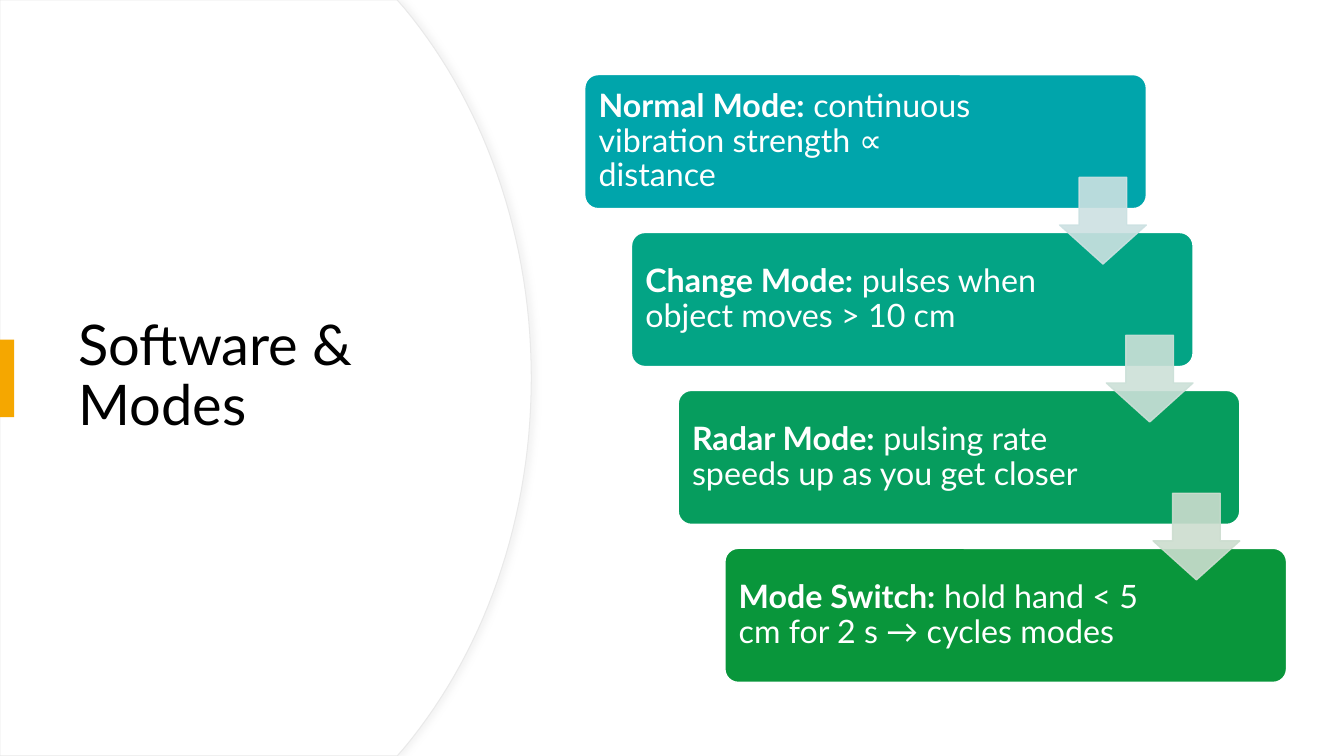
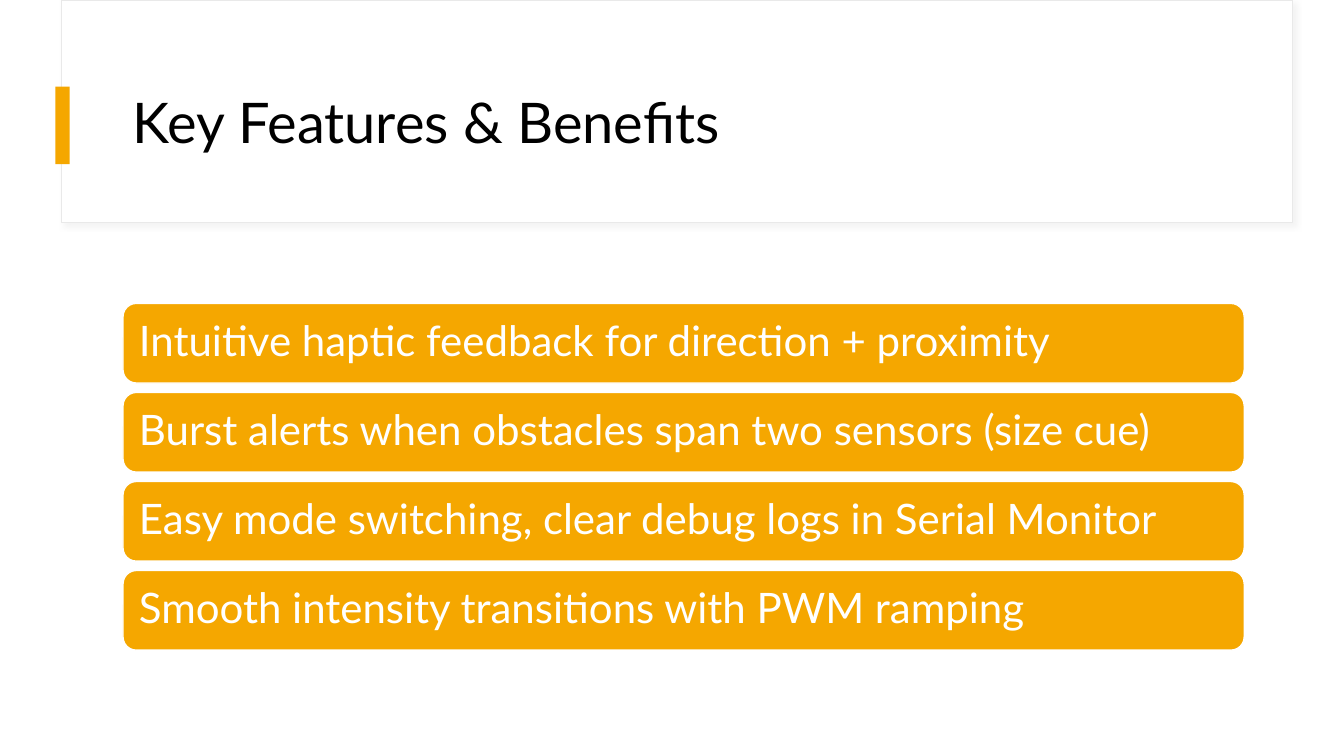
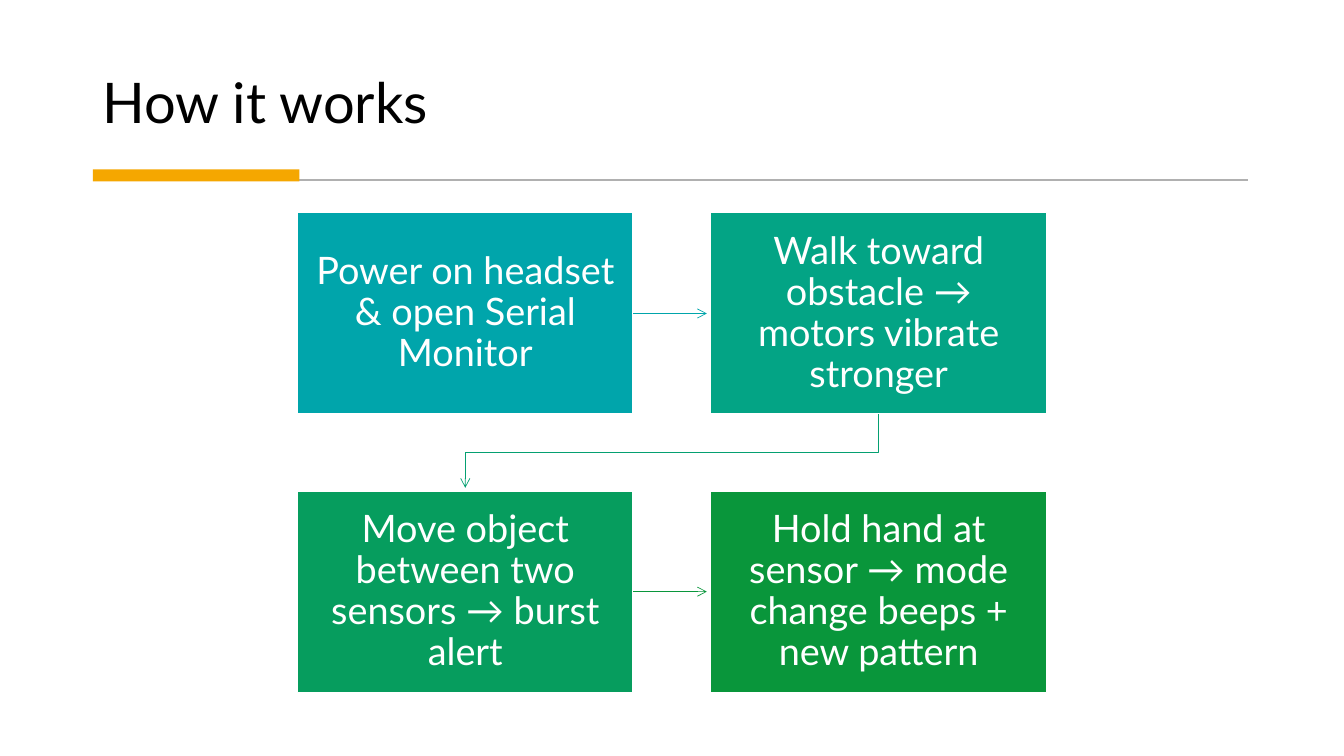
from collections import namedtuple
from dataclasses import dataclass

from lxml.etree import SubElement
from pptx import Presentation
from pptx.dml.color import RGBColor
from pptx.enum.shapes import MSO_CONNECTOR, MSO_SHAPE
from pptx.enum.text import MSO_ANCHOR, PP_ALIGN
from pptx.oxml.ns import qn
from pptx.util import Emu, Pt

PX = 9144  # EMU in one px: 100 px to the inch
PAGE_WIDTH, PAGE_HEIGHT = 1333, 750

Box = namedtuple("Box", "left top width height")
Span = namedtuple("Span", "text bold", defaults=(False,))


@dataclass(frozen=True)
class Theme:
    font: str = "Lato"
    black: str = "000000"
    white: str = "FFFFFF"
    accent: str = "F5A700"
    frame: str = "E9E9E9"
    shadow: str = "D9D9D9"
    rule: str = "B0B0B0"
    steps: tuple = ("00A5AB", "03A485", "069D5E", "09963B")
    tints: tuple = ("CCE1E2", "CCE0D8", "CCDDCF")
    turn: str = "05A071"
    title_size: int = 40
    mode_size: int = 23
    feature_size: int = 30
    step_size: int = 27
    line_spacing: float = 0.9


THEME = Theme()


def px(length):
    return Emu(round(length * PX))


def color(code):
    return RGBColor.from_string(code)


# Shared parts

def paint(shape, fill=None, line=None, width=1):
    shape.shadow.inherit = False
    if fill:
        shape.fill.solid()
        shape.fill.fore_color.rgb = color(fill)
    else:
        shape.fill.background()
    if line:
        shape.line.color.rgb = color(line)
        shape.line.width = Pt(width)
    else:
        shape.line.fill.background()
    return shape


def add_block(page, box, fill, line=None, width=1, kind=MSO_SHAPE.RECTANGLE):
    shape = page.shapes.add_shape(kind, *map(px, box))
    return paint(shape, fill, line, width)


def add_outline(page, points, closed):
    (left, top), *rest = [(px(x), px(y)) for x, y in points]
    builder = page.shapes.build_freeform(left, top, scale=1.0)
    builder.add_line_segments(rest, close=closed)
    return builder.convert_to_shape()


def fade(shape, percent):
    for node in shape.element.spPr.iter(qn("a:srgbClr")):
        SubElement(node, qn("a:alpha"), val=str(percent * 1000))


def cast_shadow(shape, degrees):
    effects = shape.element.spPr.find(qn("a:effectLst"))
    outer = SubElement(effects, qn("a:outerShdw"), blurRad=str(Pt(4)),
                       dist=str(Pt(3)), dir=str(degrees * 60000))
    tone = SubElement(outer, qn("a:srgbClr"), val=THEME.shadow)
    SubElement(tone, qn("a:alpha"), val="30000")


def add_line(page, start, end, tone, width):
    line = page.shapes.add_connector(MSO_CONNECTOR.STRAIGHT, *map(px, start + end))
    line.line.color.rgb = color(tone)
    line.line.width = Pt(width)
    SubElement(line.element.spPr, qn("a:effectLst"))
    return line


def add_arrowhead(line):
    SubElement(line.line._get_or_add_ln(), qn("a:tailEnd"), type="arrow")


def write(shape, spans, size, tone=THEME.white, align=PP_ALIGN.LEFT,
          anchor=MSO_ANCHOR.MIDDLE, margins=(10, 5, 10, 5)):
    frame = shape.text_frame
    frame.word_wrap = True
    frame.vertical_anchor = anchor
    (frame.margin_left, frame.margin_top,
     frame.margin_right, frame.margin_bottom) = map(px, margins)
    para = frame.paragraphs[0]
    para.alignment = align
    para.line_spacing = THEME.line_spacing
    for span in spans:
        run = para.add_run()
        run.text = span.text
        run.font.name = THEME.font
        run.font.size = Pt(size)
        run.font.bold = span.bold
        run.font.color.rgb = color(tone)


def add_title(page, box, text, anchor=MSO_ANCHOR.MIDDLE):
    title = page.shapes.add_textbox(*map(px, box))
    write(title, [Span(text)], THEME.title_size, THEME.black, anchor=anchor)


def add_accent(page, box):
    add_block(page, box, THEME.accent)


def spread(length, size, count):
    """Offsets of equal parts that fill a length from end to end."""
    return [(length - size) * index / (count - 1) for index in range(count)]


# Regions

def add_curved_panel(page, box):
    """White panel whose right edge bulges outwards."""
    left, top, width, height = box
    middle = height / 2
    controls = ((width - 126, 8), (width - 48, 102), (width, 232), (width, middle))
    upper = []
    for step in range(31):
        t = step / 30
        weights = ((1 - t) ** 3, 3 * t * (1 - t) ** 2, 3 * t * t * (1 - t), t ** 3)
        upper.append(tuple(sum(w * point[axis] for w, point in zip(weights, controls))
                           for axis in (0, 1)))
    half = [(0, 0), (width - 133, 0), *upper]
    lower = [(x, height - y) for x, y in reversed(half[:-1])]
    panel = add_outline(page, [(left + x, top + y) for x, y in half + lower], True)
    paint(panel, THEME.white, THEME.frame, 0.75)
    cast_shadow(panel, 0)


def add_mode_stairs(page, box, modes):
    """Cards stepping down to the right, linked by block arrows."""
    width, height, arrow_size = 557, 133, 86
    count = len(modes)
    corners = [(box.left + x, box.top + y) for x, y in
               zip(spread(box.width, width, count), spread(box.height, height, count))]
    for (left, top), (name, detail), fill in zip(corners, modes, THEME.steps):
        card = add_block(page, Box(left, top, width, height), fill, THEME.white,
                         kind=MSO_SHAPE.ROUNDED_RECTANGLE)
        card.adjustments[0] = 0.1
        write(card, [Span(name, True), Span(detail)], THEME.mode_size,
              margins=(10, 10, 142, 10))
    for (left, top), tint in zip(corners, THEME.tints):
        place = Box(left + width - arrow_size, top + 102, arrow_size, arrow_size)
        arrow = add_block(page, place, tint, tint, kind=MSO_SHAPE.DOWN_ARROW)
        arrow.adjustments[0], arrow.adjustments[1] = 0.55, 0.45
        fade(arrow, 90)


def add_feature_list(page, box, features):
    height = 79
    for offset, feature in zip(spread(box.height, height, len(features)), features):
        bar = add_block(page, Box(box.left, box.top + offset, box.width, height),
                        THEME.accent, THEME.white, kind=MSO_SHAPE.ROUNDED_RECTANGLE)
        write(bar, [Span(feature)], THEME.feature_size, margins=(12, 12, 12, 12))


def add_step_grid(page, box, steps):
    """Two by two steps read row by row, with an arrow to each next step."""
    width, height = 333, 200
    lefts = [box.left + x for x in spread(box.width, width, 2)]
    tops = [box.top + y for y in spread(box.height, height, 2)]
    cells = [(left, top) for top in tops for left in lefts]
    for (left, top), text, fill in zip(cells, steps, THEME.steps):
        card = add_block(page, Box(left, top, width, height), fill, THEME.white)
        write(card, [Span(text)], THEME.step_size, align=PP_ALIGN.CENTER,
              margins=(16, 17, 16, 17))

    # Arrows along the rows
    for top, tone in zip(tops, (THEME.steps[0], THEME.steps[-1])):
        middle = top + height / 2
        add_arrowhead(add_line(page, (lefts[0] + width, middle),
                               (lefts[1] - 4, middle), tone, 0.5))

    # Arrow back to the start of the second row
    first, second = (left + width / 2 for left in lefts)
    bottom, between = tops[0] + height, (tops[0] + height + tops[1]) / 2
    turn = add_outline(page, [(second, bottom), (second, between),
                              (first, between), (first, tops[1] - 3)], False)
    paint(turn, line=THEME.turn, width=0.5)
    add_arrowhead(turn)


# Slides

def build_modes(page):
    add_curved_panel(page, Box(0, 0, 527, PAGE_HEIGHT))
    add_title(page, Box(68, 127, 394, 495), "Software & Modes")
    add_accent(page, Box(0, 337, 14, 77))
    add_mode_stairs(page, Box(580, 74, 696, 603), [
        ("Normal Mode:", " continuous vibration strength ∝ distance"),
        ("Change Mode:", " pulses when object moves > 10 cm"),
        ("Radar Mode:", " pulsing rate speeds up as you get closer"),
        ("Mode Switch:", " hold hand < 5 cm for 2 s → cycles modes"),
    ])


def build_features(page):
    header = add_block(page, Box(61, 0, 1221, 221), THEME.white, THEME.frame, 0.75)
    cast_shadow(header, 45)
    add_accent(page, Box(55, 86, 14, 77))
    add_title(page, Box(122, 60, 1112, 129), "Key Features & Benefits")
    add_feature_list(page, Box(122, 301, 1112, 344), [
        "Intuitive haptic feedback for direction + proximity",
        "Burst alerts when obstacles span two sensors (size cue)",
        "Easy mode switching, clear debug logs in Serial Monitor",
        "Smooth intensity transitions with PWM ramping",
    ])


def build_steps(page):
    add_title(page, Box(92, 28, 1149, 111), "How it works", MSO_ANCHOR.BOTTOM)
    add_line(page, (95, 179), (1238, 179), THEME.rule, 1.5)
    add_accent(page, Box(92, 168, 205, 12))
    add_step_grid(page, Box(295, 211, 743, 476), [
        "Power on headset & open Serial Monitor",
        "Walk toward obstacle → motors vibrate stronger",
        "Move object between two sensors → burst alert",
        "Hold hand at sensor → mode change beeps + new pattern",
    ])


def main():
    deck = Presentation()
    deck.slide_width, deck.slide_height = px(PAGE_WIDTH), px(PAGE_HEIGHT)
    blank = deck.slide_layouts[6]
    for build in (build_modes, build_features, build_steps):
        build(deck.slides.add_slide(blank))
    deck.save("out.pptx")


if __name__ == "__main__":
    main()
